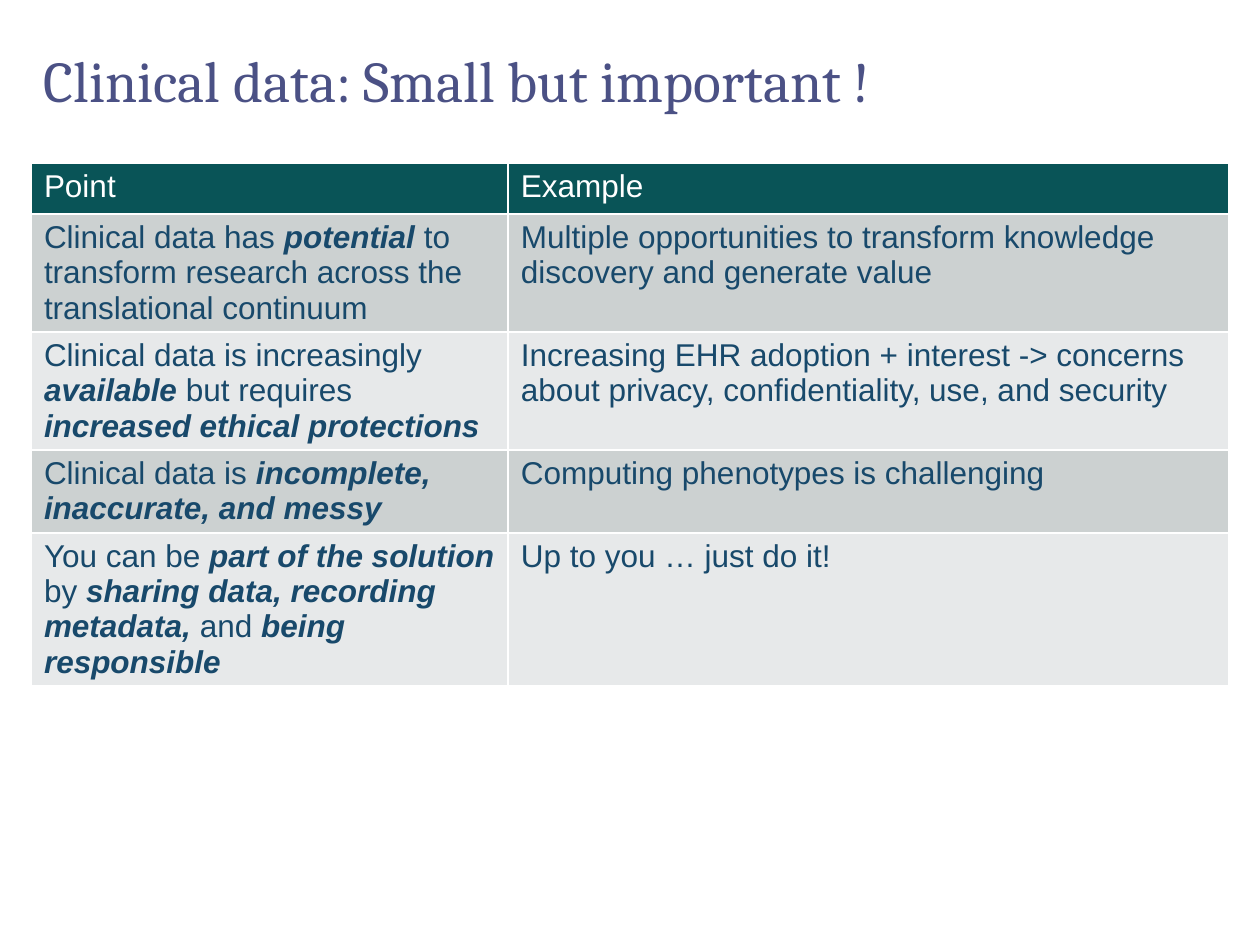
from lxml.etree import SubElement
from pptx import Presentation
from pptx.dml.color import RGBColor
from pptx.enum.text import MSO_ANCHOR, MSO_AUTO_SIZE, PP_ALIGN
from pptx.oxml.ns import qn
from pptx.util import Emu, Pt

PX = 914400 // 126  # EMU per px
TITLE_COLOR = RGBColor(0x4B, 0x51, 0x85)
HEADER_FILL = RGBColor(0x09, 0x54, 0x57)
BAND_FILLS = (RGBColor(0xCC, 0xD1, 0xD1), RGBColor(0xE7, 0xE9, 0xEA))
BODY_COLOR = RGBColor(0x18, 0x49, 0x6B)
WHITE = RGBColor(0xFF, 0xFF, 0xFF)

COL_WIDTHS = (477, 721)
ROW_HEIGHTS = (51, 118, 118, 83, 153)
# Each cell is a list of runs; every second run is emphasised
ROWS = [
    (["Point"], ["Example"]),
    (["Clinical data has ", "potential",
      " to transform research across the translational continuum"],
     ["Multiple opportunities to transform knowledge discovery and generate value"]),
    (["Clinical data is increasingly ", "available ", "but requires ",
      "increased ethical protections"],
     ["Increasing EHR adoption + interest -> concerns about privacy, "
      "confidentiality, use, and security"]),
    (["Clinical data is ", "incomplete, inaccurate, and messy"],
     ["Computing phenotypes is challenging"]),
    (["You can be ", "part of the solution ", "by ",
      "sharing data, recording metadata, ", "and ", "being responsible"],
     ["Up to you … just do it!"]),
]


def px(n):
    return Emu(n * PX)


def add_run(p, text, font, size, color, emphasis=False):
    r = p.add_run()
    r.text = text
    r.font.name, r.font.size = font, Pt(size)
    r.font.bold = r.font.italic = emphasis
    r.font.color.rgb = color


def set_borders(cell, color, width):
    tc_pr = cell._tc.get_or_add_tcPr()
    for i, side in enumerate(("lnL", "lnR", "lnT", "lnB")):
        ln = tc_pr.makeelement(qn(f"a:{side}"), {"w": str(Pt(width))})
        fill = SubElement(ln, qn("a:solidFill"))
        SubElement(fill, qn("a:srgbClr"), val=str(color))
        tc_pr.insert(i, ln)  # borders come before the cell fill


def place_title(slide, x, y, w, h):
    title = slide.shapes.title
    title.left, title.top, title.width, title.height = map(px, (x, y, w, h))
    tf = title.text_frame
    tf.auto_size = MSO_AUTO_SIZE.NONE
    tf.vertical_anchor = MSO_ANCHOR.MIDDLE
    p = tf.paragraphs[0]
    p.alignment = PP_ALIGN.LEFT
    p.line_spacing = 0.9
    add_run(p, "Clinical data: Small but important !", "Cambria", 33, TITLE_COLOR)


def fill_cell(cell, runs, fill, color):
    cell.margin_left = cell.margin_right = px(13)
    cell.margin_top = cell.margin_bottom = px(6)
    cell.fill.solid()
    cell.fill.fore_color.rgb = fill
    set_borders(cell, WHITE, 1)
    p = cell.text_frame.paragraphs[0]
    for i, text in enumerate(runs):
        add_run(p, text, "Arial", 18, color, emphasis=i % 2 == 1)


def place_table(slide, x, y):
    frame = slide.shapes.add_table(len(ROWS), len(COL_WIDTHS), px(x), px(y),
                                   px(sum(COL_WIDTHS)), px(sum(ROW_HEIGHTS)))
    table = frame.table
    for col, w in zip(table.columns, COL_WIDTHS):
        col.width = px(w)
    for i, (row, h, texts) in enumerate(zip(table.rows, ROW_HEIGHTS, ROWS)):
        row.height = px(h)
        fill = BAND_FILLS[(i - 1) % 2] if i else HEADER_FILL
        for cell, runs in zip(row.cells, texts):
            fill_cell(cell, runs, fill, BODY_COLOR if i else WHITE)


def main():
    prs = Presentation()
    prs.slide_width, prs.slide_height = px(1260), px(945)
    slide = prs.slides.add_slide(prs.slide_layouts[5])  # title only
    place_title(slide, 31, 21, 1198, 126)
    place_table(slide, 31, 163)
    prs.save("out.pptx")


if __name__ == "__main__":
    main()
